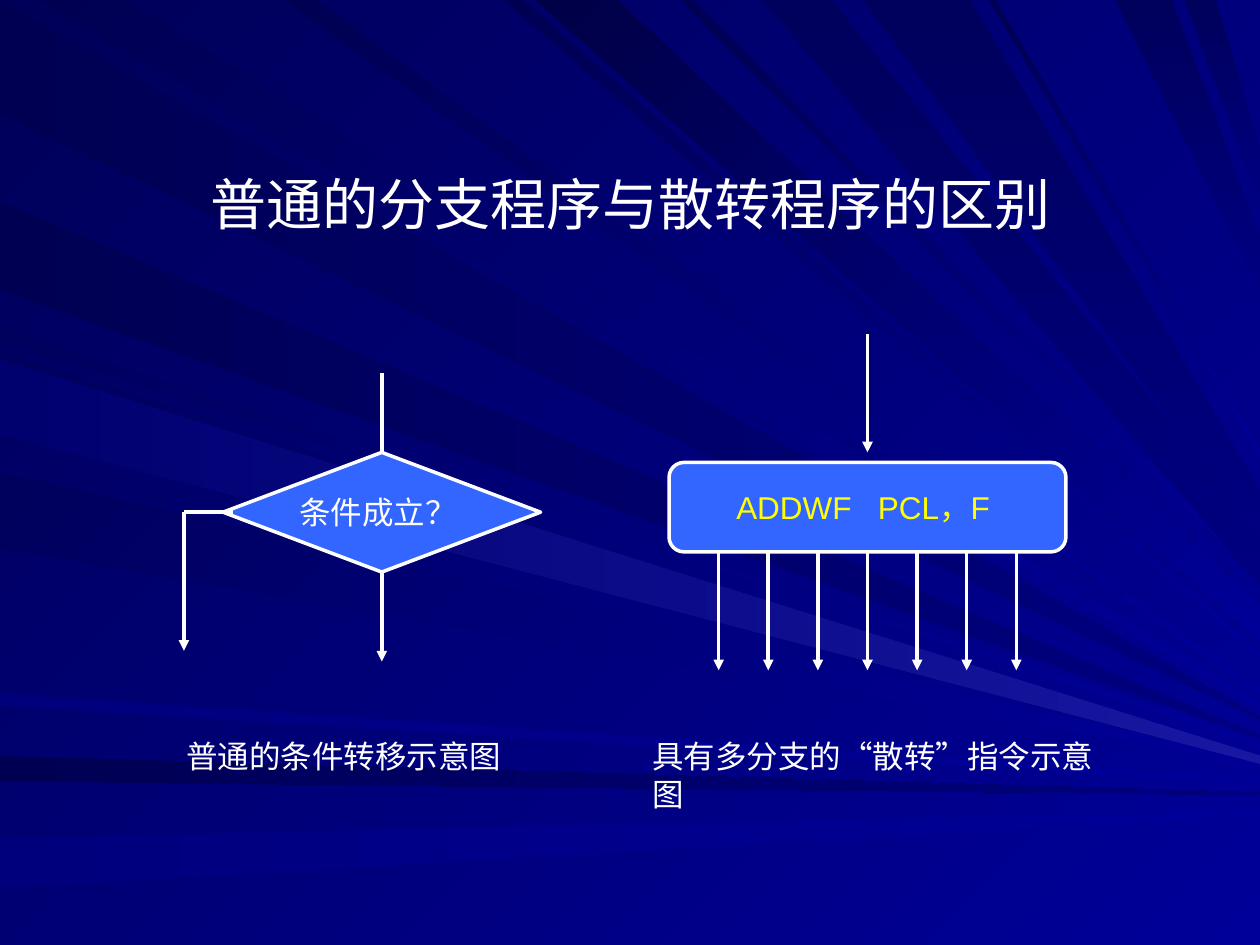
from lxml import etree
from pptx import Presentation
from pptx.dml.color import RGBColor
from pptx.enum.shapes import MSO_CONNECTOR, MSO_SHAPE
from pptx.enum.text import MSO_ANCHOR, MSO_AUTO_SIZE, PP_ALIGN
from pptx.oxml.ns import qn
from pptx.util import Inches, Pt

STRAIGHT = MSO_CONNECTOR.STRAIGHT
DECISION = MSO_SHAPE.FLOWCHART_DECISION
PROCESS = MSO_SHAPE.FLOWCHART_ALTERNATE_PROCESS
MIDDLE = MSO_ANCHOR.MIDDLE
GROW = MSO_AUTO_SIZE.SHAPE_TO_FIT_TEXT
LEFT, CENTER = PP_ALIGN.LEFT, PP_ALIGN.CENTER

FONT = "Arial"
WHITE, YELLOW, BLUE = "FFFFFF", "FFFF00", "3366FF"
WIDTH, HEIGHT = 10, 7.5
BOTTOM_SITE = 2
BRANCHES = 7


def color(value):
    """Return the colour for a hex string."""
    return RGBColor.from_string(value)


def paint_gradient(fill, first, last, angle):
    """Fill with two colours at a clockwise angle."""
    fill.gradient()
    fill.gradient_angle = (360 - angle) % 360
    for stop, value in zip(fill.gradient_stops, (first, last)):
        stop.color.rgb = color(value)


def write(shape, text, size, ink, align):
    """Put one formatted paragraph into a shape."""
    para = shape.text_frame.paragraphs[0]
    para.text = text
    para.alignment = align
    para.font.name = FONT
    para.font.size = Pt(size)
    para.font.color.rgb = color(ink)


def add_rays(page, from_top, first, last, angle, spread, rays):
    """Draw rays from the top or left edge, each with its start, stop and tip."""
    for start, stop, tip in rays:
        ends = [(start, 0), (stop, 0)] if from_top else [(0, start), (0, stop)]
        corners = ends + [(WIDTH, tip + spread), (WIDTH, tip - spread)]
        if from_top:
            corners[2:] = reversed(corners[2:])
        points = [(Inches(x), Inches(y)) for x, y in corners]
        builder = page.shapes.build_freeform(*points[0])
        builder.add_line_segments(points[1:])
        ray = builder.convert_to_shape()
        ray.shadow.inherit = False
        ray.line.fill.background()
        paint_gradient(ray.fill, first, last, angle)


def add_backdrop(page):
    """Paint the background and the fans of rays that cross it."""
    paint_gradient(page.background.fill, "000058", "000099", 45)
    add_rays(page, False, "000053", "000080", 0, 0.01,
             [(0, 0.9, 5.7), (1.6, 2.3, 5.85), (6, 6.2, 6.3)])
    add_rays(page, True, "000053", "000099", 45, 0.03,
             [(0.3, 1, 5.6), (2.25, 2.5, 5.5), (4, 4.15, 5.2),
              (5.4, 5.5, 4.6), (7.85, 7.9, 3.6)])
    add_rays(page, True, "000047", "000099", 45, 0.15, [(4.25, 4.9, 4.95)])
    add_rays(page, True, "00005D", "000080", 90, 0.2,
             [(6.05, 6.6, 4.45), (6.85, 7.7, 4.1), (8.85, 9.3, 2.1), (9.4, 9.65, 1.4)])
    add_rays(page, False, "00005D", "000099", 45, 0.02,
             [(2.6, 2.7, 5.9), (2.8, 3.4, 6), (3.75, 4.35, 6.05)])
    add_rays(page, False, "00007D", "000099", 0, 0.02,
             [(5.5, 5.6, 6.2), (6.65, 7.05, 6.45)])
    add_rays(page, False, "00006F", "1717A2", 0, 0.03, [(2.85, 3.45, 6.03)])


def add_title(page, text, left, top, width, height):
    """Place the title in front of the backdrop."""
    title = page.shapes.title
    title.left, title.top = Inches(left), Inches(top)
    title.width, title.height = Inches(width), Inches(height)
    title.text_frame.vertical_anchor = MIDDLE
    write(title, text, 32, WHITE, CENTER)
    page.shapes._spTree.append(title._element)


def add_line(page, start, end, arrow=True):
    """Draw a white line, with an arrowhead at its end if wanted."""
    line = page.shapes.add_connector(STRAIGHT, *map(Inches, start + end))
    line.line.color.rgb = color(WHITE)
    line.line.width = Pt(2)
    if arrow:
        head = etree.SubElement(line.line._get_or_add_ln(), qn("a:tailEnd"))
        head.set("type", "triangle")
    etree.SubElement(line._element.spPr, qn("a:effectLst"))
    return line


def add_node(page, kind, text, ink, left, top, width, height):
    """Add a flowchart node with centred text."""
    node = page.shapes.add_shape(kind, *map(Inches, (left, top, width, height)))
    node.shadow.inherit = False
    node.fill.solid()
    node.fill.fore_color.rgb = color(BLUE)
    node.line.color.rgb = color(WHITE)
    node.line.width = Pt(2)
    node.text_frame.word_wrap = False
    node.text_frame.vertical_anchor = MIDDLE
    write(node, text, 18, ink, CENTER)
    return node


def add_caption(page, text, left, top, width, height):
    """Add the caption below a diagram."""
    box = page.shapes.add_textbox(*map(Inches, (left, top, width, height)))
    box.text_frame.word_wrap = True
    box.text_frame.auto_size = GROW
    write(box, text, 18, WHITE, LEFT)


def add_conditional(page, left, top, width, height):
    """Draw the ordinary two-way branch around its decision box."""
    center, middle = left + width / 2, top + height / 2
    side = left - 0.31
    add_line(page, (center, top - 0.63), (center, top + height + 0.71))
    add_node(page, DECISION, "条件成立？ ", WHITE, left, top, width, height)
    add_line(page, (side, middle), (left + 0.08, middle), arrow=False)
    add_line(page, (side, middle), (side, middle + 1.1))


def add_dispatch(page, left, top, width, height):
    """Draw the multi-way jump around its instruction box."""
    center, bottom = left + width / 2, top + height
    gap = width / (BRANCHES + 1)
    node = add_node(page, PROCESS, "ADDWF   PCL，F ", YELLOW, left, top, width, height)
    add_line(page, (center, top - 1.02), (center, top - 0.08))
    for number in range(1, BRANCHES + 1):
        x = left + number * gap
        branch = add_line(page, (x, bottom), (x, bottom + 0.94))
        if number == (BRANCHES + 1) // 2:
            branch.begin_connect(node, BOTTOM_SITE)


def main():
    """Build the slide and save the deck."""
    deck = Presentation()
    deck.slide_width, deck.slide_height = Inches(WIDTH), Inches(HEIGHT)
    page = deck.slides.add_slide(deck.slide_layouts[5])
    add_backdrop(page)
    add_title(page, "普通的分支程序与散转程序的区别", 0.51, 0.99, 9, 1.25)
    add_conditional(page, 1.77, 3.59, 2.52, 0.95)
    add_dispatch(page, 5.31, 3.67, 3.15, 0.71)
    add_caption(page, "普通的条件转移示意图", 1.38, 5.8, 2.99, 0.4)
    add_caption(page, "具有多分支的“散转”指令示意图", 5.08, 5.8, 3.7, 0.7)
    deck.save("out.pptx")


if __name__ == "__main__":
    main()
